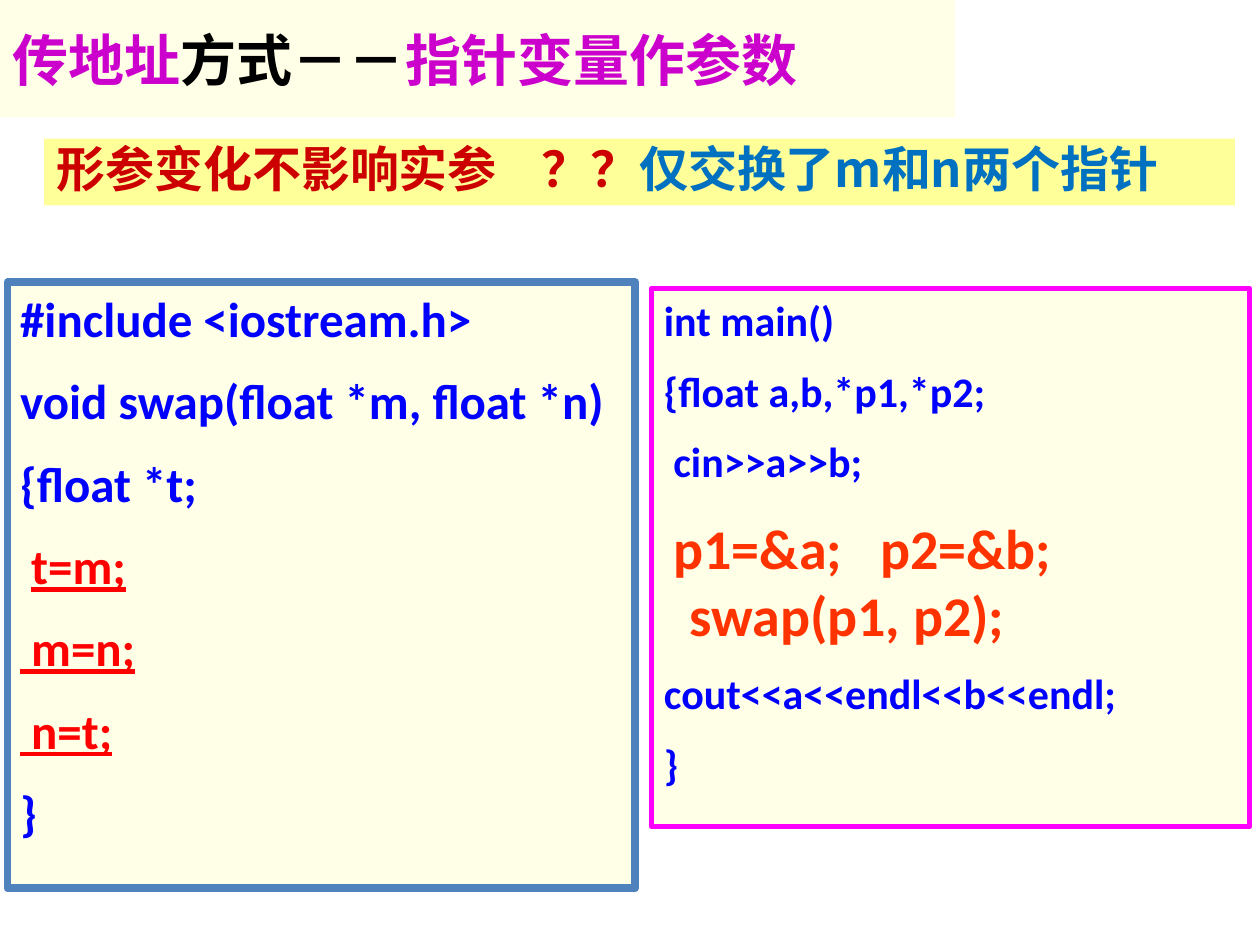
from lxml.etree import SubElement
from pptx import Presentation
from pptx.dml.color import RGBColor
from pptx.enum.text import MSO_ANCHOR, MSO_AUTO_SIZE, PP_ALIGN
from pptx.oxml.ns import qn
from pptx.util import Pt

COLORS = {
    "cream": "FFFFE7", "yellow": "FFFF99", "magenta": "FF00FF", "steel": "4F81BD",
    "purple": "CC00CC", "black": "000000", "crimson": "CC0000", "sky": "0070C0",
    "blue": "0000FF", "red": "FF0000", "orange": "FF3300",
}
CHINESE_FONT = "Noto Sans CJK SC"
CODE_FONT = "Calibri"
CODE_SPACING = 0.48


def color(name):
    return RGBColor.from_string(COLORS[name])


def apply(target, values):
    for name, value in values.items():
        setattr(target, name, value)


def place(box, bounds, fill, anchor=MSO_ANCHOR.TOP):
    apply(box, dict(zip(("left", "top", "width", "height"), map(Pt, bounds))))
    box.fill.solid()
    box.fill.fore_color.rgb = color(fill)
    apply(box.text_frame, {
        "word_wrap": True,
        "auto_size": MSO_AUTO_SIZE.NONE,
        "vertical_anchor": anchor,
    })


def outline(box, line_color, width):
    box.line.color.rgb = color(line_color)
    box.line.width = Pt(width)


def add_run(paragraph, text, font_name, size, text_color, underline=False):
    run = paragraph.add_run()
    run.text = text
    apply(run.font, {
        "name": font_name, "size": Pt(size), "bold": True, "underline": underline,
    })
    run.font.color.rgb = color(text_color)
    SubElement(run.font._element, qn("a:ea"), typeface=font_name)


def write_heading(box, size, parts, **spacing):
    heading = box.text_frame.paragraphs[0]
    apply(heading, {"alignment": PP_ALIGN.LEFT, **spacing})
    for text, text_color in parts:
        add_run(heading, text, CHINESE_FONT, size, text_color)


def remove_bullet(paragraph):
    properties = paragraph._p.get_or_add_pPr()
    properties.set("marL", "0")
    properties.set("indent", "0")
    SubElement(properties, qn("a:buNone"))


def write_code(box, lines):
    frame = box.text_frame
    for index, (parts, spacing, alignment) in enumerate(lines):
        paragraph = frame.add_paragraph() if index else frame.paragraphs[0]
        largest = max(size for _, size, *_ in parts)
        apply(paragraph, {
            "alignment": alignment,
            "line_spacing": 1.0,
            "space_before": Pt(round(largest * spacing, 1)),
            "space_after": Pt(0),
        })
        remove_bullet(paragraph)
        for text, *style in parts:
            add_run(paragraph, text, CODE_FONT, *style)


def code_line(*parts, spacing=CODE_SPACING, alignment=PP_ALIGN.LEFT):
    return parts, spacing, alignment


def main():
    deck = Presentation()
    apply(deck, {"slide_width": Pt(720), "slide_height": Pt(540)})
    slide = deck.slides.add_slide(deck.slide_layouts[3])
    title, main_code, swap_code = slide.placeholders

    place(title, (0, 0, 545.8, 67), "cream", MSO_ANCHOR.MIDDLE)
    write_heading(title, 32, [
        ("传地址", "purple"), ("方式－－", "black"), ("指针变量作参数", "purple"),
    ], space_before=Pt(1), space_after=Pt(1))

    place(main_code, (372.2, 164.9, 342, 307.4), "cream")
    outline(main_code, "magenta", 3)
    plain = (24, "blue")
    call = (32, "orange")
    write_code(main_code, [
        code_line(("int main()", *plain)),
        code_line(("{float a,b,*p1,*p2;", *plain)),
        code_line((" cin>>a>>b;", *plain)),
        code_line((" ", *plain), ("p1=&a;   p2=&b;", *call)),
        code_line(("  swap(p1, p2);", *call), spacing=0, alignment=PP_ALIGN.JUSTIFY),
        code_line(("cout<<a<<endl<<b<<endl;", *plain)),
        code_line(("}", *plain)),
    ])

    place(swap_code, (4.3, 161.3, 358.6, 346.3), "cream")
    outline(swap_code, "steel", 4.5)
    plain = (28, "blue")
    exchange = (28, "red", True)
    write_code(swap_code, [
        code_line(("#include <iostream.h>", *plain)),
        code_line(("void swap(float *m, float *n)", *plain)),
        code_line(("{float *t;", *plain)),
        code_line((" ", *plain), ("t=m;", *exchange)),
        code_line((" m=n;", *exchange)),
        code_line((" n=t;", *exchange)),
        code_line(("}", *plain)),
    ])

    banner = slide.shapes.add_textbox(0, 0, 0, 0)
    place(banner, (25.2, 79.2, 680.4, 38.2), "yellow")
    write_heading(banner, 28, [
        ("形参变化不影响实参    ？？", "crimson"), ("仅交换了m和n两个指针", "sky"),
    ], line_spacing=0.9)

    deck.save("out.pptx")


if __name__ == "__main__":
    main()
